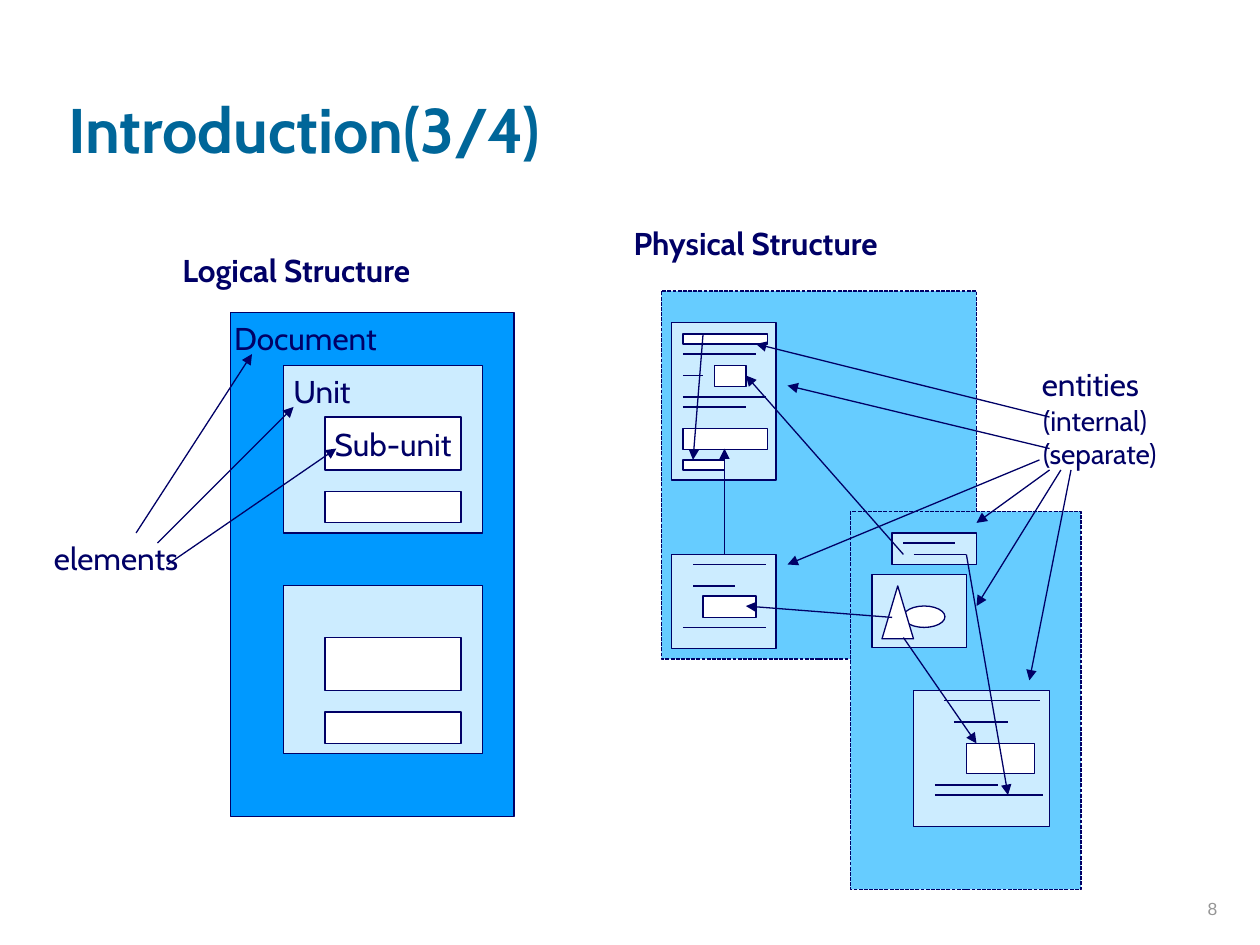
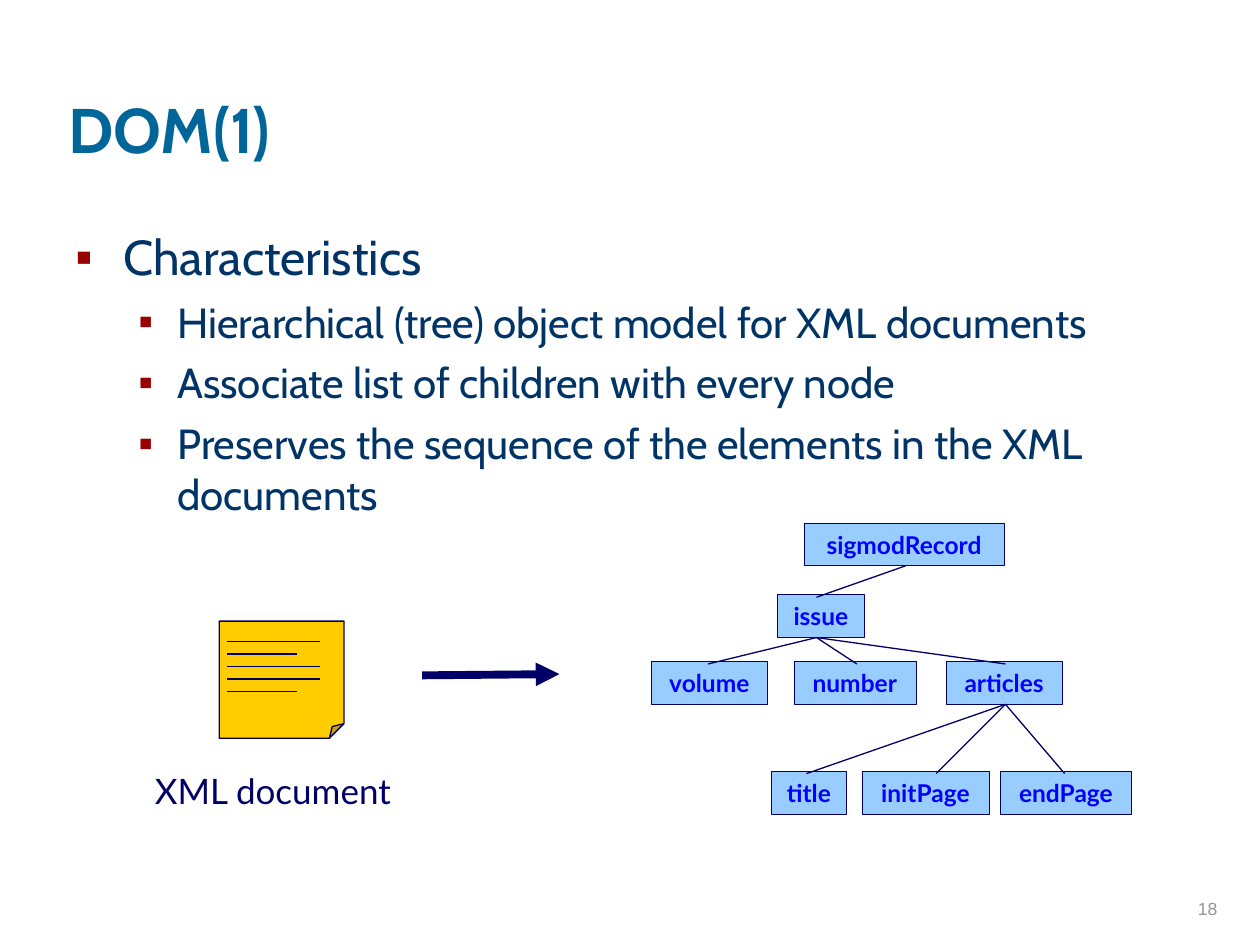
from dataclasses import dataclass
from typing import NamedTuple

from lxml import etree
from pptx import Presentation
from pptx.dml.color import RGBColor
from pptx.enum.dml import MSO_LINE
from pptx.enum.shapes import MSO_CONNECTOR, MSO_SHAPE
from pptx.enum.text import MSO_ANCHOR, MSO_AUTO_SIZE, PP_ALIGN
from pptx.oxml.ns import qn
from pptx.util import Inches, Pt

RECT, OVAL = MSO_SHAPE.RECTANGLE, MSO_SHAPE.OVAL
TRIANGLE, NOTE = MSO_SHAPE.ISOSCELES_TRIANGLE, MSO_SHAPE.FOLDED_CORNER
LEFT, CENTER, RIGHT = PP_ALIGN.LEFT, PP_ALIGN.CENTER, PP_ALIGN.RIGHT
TOP, MIDDLE, BOTTOM = MSO_ANCHOR.TOP, MSO_ANCHOR.MIDDLE, MSO_ANCHOR.BOTTOM
TITLE_ONLY = 5


class TextStyle(NamedTuple):
    font: str
    size: int
    color: str
    bold: bool = False


@dataclass(frozen=True)
class Theme:
    """Colours, line widths and type styles of the deck."""
    ink: str = "000066"
    document: str = "0099FF"
    storage: str = "66CCFF"
    pale: str = "CCECFF"
    white: str = "FFFFFF"
    node: str = "99CCFF"
    note: str = "FFCC00"
    bullet: str = "990000"
    thin: float = 0.25
    line: float = 0.75
    heavy: float = 4.5
    title: TextStyle = TextStyle("Cabin", 36, "006699", True)
    heading: TextStyle = TextStyle("Cabin", 18, "000066", True)
    label: TextStyle = TextStyle("Cabin", 18, "000066")
    small_label: TextStyle = TextStyle("Cabin", 16, "000066")
    body: TextStyle = TextStyle("Cabin", 28, "003366")
    sub_body: TextStyle = TextStyle("Cabin", 24, "003366")
    node_text: TextStyle = TextStyle("Lato", 14, "0000FF", True)
    caption: TextStyle = TextStyle("Lato", 20, "000066")
    number: TextStyle = TextStyle("Arial", 10, "969696")


THEME = Theme()


class Box(NamedTuple):
    left: float
    top: float
    width: float
    height: float
    fill: str = THEME.white
    kind: int = RECT
    dashed: bool = False
    border: float = THEME.line


class Segment(NamedTuple):
    x1: float
    y1: float
    x2: float
    y2: float


class Label(NamedTuple):
    left: float
    top: float
    width: float
    height: float
    lines: tuple[str, ...]
    style: TextStyle = THEME.label


class TreeNode(NamedTuple):
    name: str
    left: float
    top: float
    width: float
    joint: float
    parent: str = ""


# Shared drawing functions
def style_paragraph(para, style: TextStyle, align=LEFT) -> None:
    para.alignment = align
    para.font.name, para.font.size = style.font, Pt(style.size)
    para.font.bold = style.bold
    para.font.color.rgb = RGBColor.from_string(style.color)


def fill_text(frame, lines, style: TextStyle, align=LEFT, anchor=TOP, wrap=False) -> None:
    frame.word_wrap, frame.vertical_anchor = wrap, anchor
    frame.auto_size = MSO_AUTO_SIZE.NONE
    frame.text = "\n".join(lines)
    for para in frame.paragraphs:
        style_paragraph(para, style, align)


def draw_box(page, box: Box):
    shape = page.shapes.add_shape(box.kind, *map(Inches, box[:4]))
    shape.shadow.inherit = False
    shape.fill.solid()
    shape.fill.fore_color.rgb = RGBColor.from_string(box.fill)
    shape.line.color.rgb = RGBColor.from_string(THEME.ink)
    shape.line.width = Pt(box.border)
    if box.dashed:
        shape.line.dash_style = MSO_LINE.SQUARE_DOT
    return shape


def draw_line(page, segment: Segment, arrow: bool = False, width: float = THEME.line) -> None:
    line = page.shapes.add_connector(MSO_CONNECTOR.STRAIGHT, *map(Inches, segment))
    line.line.color.rgb = RGBColor.from_string(THEME.ink)
    line.line.width = Pt(width)
    if arrow:
        outline = line.line._get_or_add_ln()
        etree.SubElement(outline, qn("a:tailEnd"), type="triangle")
    etree.SubElement(line._element.spPr, qn("a:effectLst"))


def draw_label(page, label: Label, **layout) -> None:
    box = page.shapes.add_textbox(*map(Inches, label[:4]))
    fill_text(box.text_frame, label.lines, label.style, **layout)


def add_page(deck, title: str, number: int):
    page = deck.slides.add_slide(deck.slide_layouts[TITLE_ONLY])
    heading = page.shapes.title
    heading.left, heading.top = Inches(0.44), Inches(0.12)
    heading.width, heading.height = Inches(8.5), Inches(1.25)
    fill_text(heading.text_frame, [title], THEME.title, anchor=BOTTOM, wrap=True)
    draw_label(page, Label(7.68, 6.84, 2.08, 0.5, (str(number),), THEME.number),
               align=RIGHT, anchor=BOTTOM, wrap=True)
    return page


def add_bullet(para, left: float, hanging: float) -> None:
    props = para._p.get_or_add_pPr()
    props.set("marL", str(Inches(left)))
    props.set("indent", str(-Inches(hanging)))
    color = etree.SubElement(props, qn("a:buClr"))
    etree.SubElement(color, qn("a:srgbClr"), val=THEME.bullet)
    etree.SubElement(props, qn("a:buFont"), typeface="Arial")
    etree.SubElement(props, qn("a:buChar"), char="▪")


# Introduction: logical structure
UNIT_TOPS = (2.9, 4.65)
ELEMENT_ARROWS = (
    Segment(1.08, 4.23, 2, 2.81),
    Segment(1.25, 4.31, 2.33, 3.23),
    Segment(1.33, 4.48, 2.67, 3.56),
)

# Introduction: physical structure
ENTITY_BOXES = (
    Box(5.25, 2.31, 2.5, 2.92, THEME.storage, dashed=True),
    Box(5.33, 2.56, 0.83, 1.25, THEME.pale),
    Box(5.33, 4.4, 0.83, 0.75, THEME.pale),
    Box(6.75, 4.06, 1.83, 3, THEME.storage, dashed=True),
    Box(6.92, 4.56, 0.75, 0.58, THEME.pale),
    Box(7.08, 4.23, 0.67, 0.25, THEME.pale),
    Box(7.17, 4.81, 0.33, 0.17, kind=OVAL),
    Box(7, 4.65, 0.25, 0.42, kind=TRIANGLE),
    Box(5.58, 4.73, 0.42, 0.17),
    Box(7.25, 5.48, 1.08, 1.08, THEME.pale),
    Box(7.67, 5.9, 0.54, 0.24),
    Box(5.42, 2.65, 0.67, 0.08),
    Box(5.67, 2.9, 0.25, 0.17),
    Box(5.42, 3.4, 0.67, 0.17),
    Box(5.42, 3.65, 0.33, 0.08),
)
# Text rules inside the entities: start, end, height
ENTITY_RULES = (
    (5.42, 6, 2.81), (5.42, 5.58, 2.98), (5.42, 6.08, 3.15), (5.42, 5.92, 3.23),
    (5.5, 6.08, 4.48), (5.5, 5.83, 4.65), (5.42, 6.08, 4.98),
    (7.17, 7.58, 4.31), (7.25, 7.67, 4.4),
    (7.49, 8.25, 5.56), (7.57, 8, 5.73), (7.42, 7.92, 6.23), (7.42, 8.28, 6.31),
)
# References between entities, then pointers from the entity labels
ENTITY_ARROWS = (
    Segment(7.17, 5.06, 7.75, 5.9),
    Segment(7.08, 4.9, 5.92, 4.81),
    Segment(7.67, 4.4, 8, 6.31),
    Segment(7.17, 4.4, 5.92, 2.98),
    Segment(5.75, 4.4, 5.75, 3.56),
    Segment(5.58, 2.65, 5.5, 3.65),
    Segment(8.33, 3.31, 6, 2.73),
    Segment(8.33, 3.56, 6.25, 3.06),
    Segment(8.25, 3.65, 6.25, 4.48),
    Segment(8.33, 3.73, 7.75, 4.15),
    Segment(8.42, 3.73, 7.75, 4.81),
    Segment(8.5, 3.73, 8.17, 5.4),
)
STRUCTURE_LABELS = (
    Label(2.23, 2.9, 0.69, 0.4, ("Unit",)),
    Label(1.76, 2.48, 1.43, 0.4, ("Document",)),
    Label(0.33, 4.23, 1.28, 0.4, ("elements",)),
    Label(1.35, 1.94, 2.34, 0.4, ("Logical Structure",), THEME.heading),
    Label(8.17, 2.85, 1.06, 0.4, ("entities",)),
    Label(8.18, 3.15, 1.24, 0.64, ("(internal)", "(separate)"), THEME.small_label),
    Label(4.93, 1.73, 2.47, 0.4, ("Physical Structure",), THEME.heading),
)


def build_introduction(deck) -> None:
    page = add_page(deck, "Introduction(3/4)", 8)
    # Document with two units of two sub-units each
    draw_box(page, Box(1.83, 2.48, 2.25, 4, THEME.document))
    for top in UNIT_TOPS:
        draw_box(page, Box(2.25, top, 1.58, 1.33, THEME.pale))
        sub_unit = draw_box(page, Box(2.58, top + 0.41, 1.08, 0.42))
        draw_box(page, Box(2.58, top + 1, 1.08, 0.25))
        if top == UNIT_TOPS[0]:
            fill_text(sub_unit.text_frame, ["Sub-unit"], THEME.label, CENTER, MIDDLE)
    # Entities and their references
    for box in ENTITY_BOXES:
        draw_box(page, box)
    for start, end, height in ENTITY_RULES:
        draw_line(page, Segment(start, height, end, height))
    for segment in ELEMENT_ARROWS + ENTITY_ARROWS:
        draw_line(page, segment, arrow=True)
    for label in STRUCTURE_LABELS:
        draw_label(page, label)


# DOM: bullets, note and tree
CHARACTERISTICS = (
    "Characteristics",
    "Hierarchical (tree) object model for XML documents",
    "Associate list of children with every node",
    "Preserves the sequence of the elements in the XML documents",
)
NODE_HEIGHT = 0.34
TREE = (
    TreeNode("sigmodRecord", 6.38, 4.15, 1.59, 7.19),
    TreeNode("issue", 6.17, 4.72, 0.69, 6.48, "sigmodRecord"),
    TreeNode("volume", 5.17, 5.25, 0.92, 5.62, "issue"),
    TreeNode("number", 6.3, 5.25, 0.97, 6.8, "issue"),
    TreeNode("articles", 7.51, 5.25, 0.92, 7.98, "issue"),
    TreeNode("title", 6.12, 6.12, 0.6, 6.4, "articles"),
    TreeNode("initPage", 6.84, 6.12, 1.01, 7.43, "articles"),
    TreeNode("endPage", 7.94, 6.12, 1.04, 8.45, "articles"),
)
NOTE_LINE_ENDS = (2.54, 2.36, 2.54, 2.54, 2.36)


def draw_tree(page) -> None:
    nodes = {node.name: node for node in TREE}
    for node in TREE:
        box = draw_box(page, Box(node.left, node.top, node.width, NODE_HEIGHT,
                                 THEME.node, border=THEME.thin))
        fill_text(box.text_frame, [node.name], THEME.node_text, CENTER, MIDDLE)
    for node in TREE:
        if node.parent:
            parent = nodes[node.parent]
            draw_line(page, Segment(parent.joint, parent.top + NODE_HEIGHT,
                                    node.joint, node.top + 0.02))


def build_dom(deck) -> None:
    page = add_page(deck, "DOM(1)", 18)
    # Bulleted text
    body = page.shapes.add_textbox(Inches(0.5), Inches(1.75), Inches(8.94), Inches(4.88))
    frame = body.text_frame
    frame.word_wrap = True
    frame.text = "\n".join(CHARACTERISTICS)
    heading, *details = frame.paragraphs
    add_bullet(heading, 0.38, 0.38)
    style_paragraph(heading, THEME.body)
    for para in details:
        para.level = 1
        add_bullet(para, 0.81, 0.31)
        style_paragraph(para, THEME.sub_body)
        para.space_before = Pt(6)
    draw_tree(page)
    # Document note with a small fold, its lines and the arrow to the tree
    note = draw_box(page, Box(1.74, 4.93, 0.99, 0.93, THEME.note, NOTE))
    guides = note._element.spPr.find(".//" + qn("a:avLst"))
    etree.SubElement(guides, qn("a:gd"), name="adj", fmla="val 12500")
    for row, end in enumerate(NOTE_LINE_ENDS):
        height = 5.09 + 0.1 * row
        draw_line(page, Segment(1.8, height, end, height))
    draw_line(page, Segment(3.35, 5.36, 4.44, 5.35), arrow=True, width=THEME.heavy)
    draw_label(page, Label(1.13, 6.06, 2.21, 0.44, ("XML document",), THEME.caption), wrap=True)


def main() -> None:
    deck = Presentation()
    deck.slide_width, deck.slide_height = Inches(10), Inches(7.5)
    build_introduction(deck)
    build_dom(deck)
    deck.save("out.pptx")


if __name__ == "__main__":
    main()
